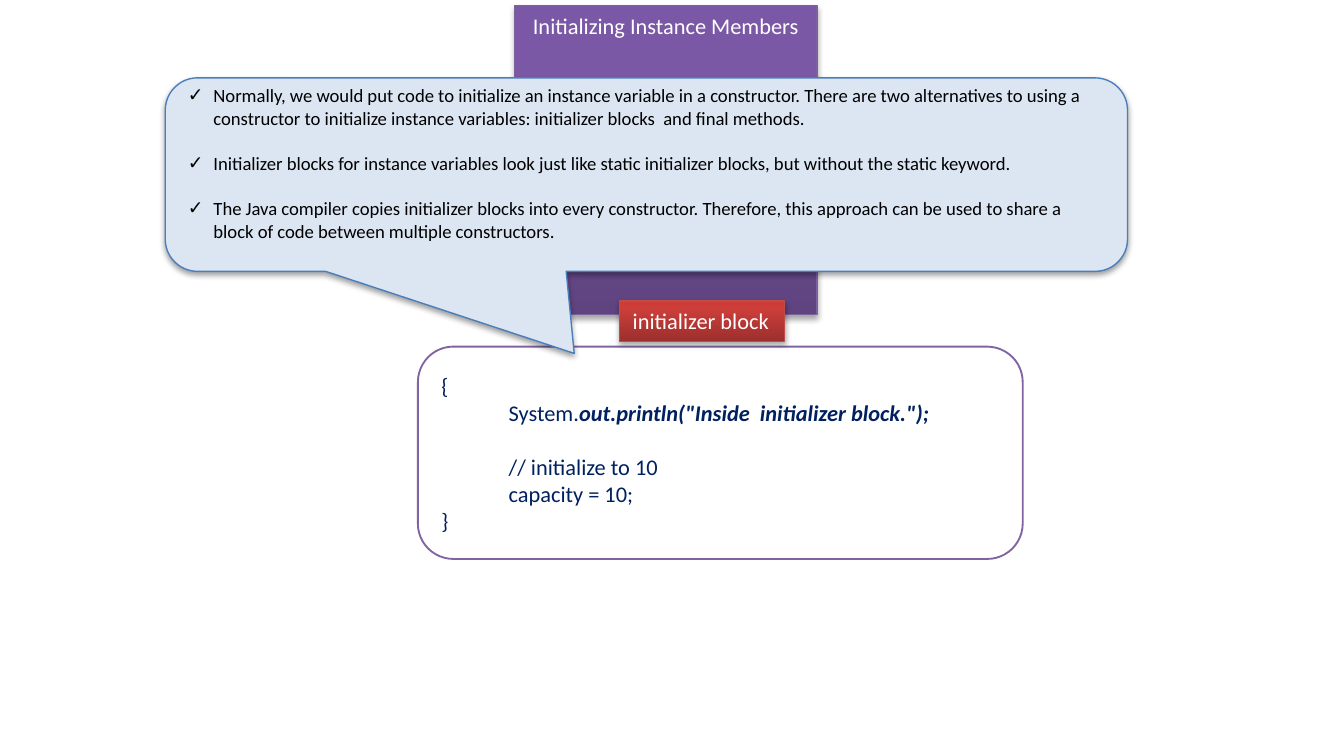
from lxml import etree
from pptx import Presentation
from pptx import util as u
from pptx.dml.color import RGBColor
from pptx.enum import shapes, text
from pptx.oxml.ns import qn

WHITE = RGBColor(0xFF, 0xFF, 0xFF)
BLACK = RGBColor(0, 0, 0)
NAVY = RGBColor(0x00, 0x20, 0x60)
PURPLE = RGBColor(0x80, 0x64, 0xA2)
PURPLE_EDGE = RGBColor(0x7D, 0x60, 0xA0)
PURPLE_STOPS = [(0, RGBColor(0x5F, 0x44, 0x80)), (80, RGBColor(0x7B, 0x58, 0xA6)),
                (100, RGBColor(0x7C, 0x57, 0xA8))]
RED_EDGE = RGBColor(0xBF, 0x4C, 0x48)
RED_STOPS = [(0, RGBColor(0x9C, 0x2F, 0x2D)), (80, RGBColor(0xCB, 0x3E, 0x3A)),
             (100, RGBColor(0xCE, 0x3B, 0x37))]
PALE_BLUE = RGBColor(0xDC, 0xE6, 0xF2)
BLUE = RGBColor(0x4B, 0x7E, 0xBC)

NOTES = [
    "Normally, we would put code to initialize an instance variable in a constructor. "
    "There are two alternatives to using a constructor to initialize instance variables: "
    "initializer blocks  and final methods.",
    "Initializer blocks for instance variables look just like static initializer blocks, "
    "but without the static keyword.",
    "The Java compiler copies initializer blocks into every constructor. Therefore, this "
    "approach can be used to share a block of code between multiple constructors.",
]
# Each line: indent, space before, plain part, emphasised part
CODE = [
    (0, 0, "{", ""),
    (0.5, 0, "System.", 'out.println("Inside  initializer block.");'),
    (0.5, 14.6, "// initialize to 10", ""),
    (0.5, 0, "capacity = 10;", ""),
    (0, 0, "}", ""),
]


class Deck:
    font = "Calibri"

    def __init__(self, width, height):
        self.prs = Presentation()
        self.prs.slide_width, self.prs.slide_height = u.Inches(width), u.Inches(height)
        self.slide = self.prs.slides.add_slide(self.prs.slide_layouts[5])

    def shape(self, kind, box, fill, line, weight):
        sp = self.slide.shapes.add_shape(kind, *map(u.Inches, box))
        sp.fill.solid()
        sp.fill.fore_color.rgb = fill
        self.outline(sp, line, weight)
        sp.text_frame.word_wrap = True
        sp.text_frame.vertical_anchor = text.MSO_ANCHOR.MIDDLE
        return sp

    def outline(self, sp, color, weight):
        sp.line.color.rgb = color
        sp.line.width = u.Pt(weight)
        sp.shadow.inherit = False

    def drop_shadow(self, sp, distance, opacity):
        effects = sp._element.spPr.find(qn("a:effectLst"))
        shadow = etree.SubElement(effects, qn("a:outerShdw"), blurRad=str(u.Pt(3.1)),
                                  dist=str(u.Pt(distance)), dir="5400000", rotWithShape="0")
        color = etree.SubElement(shadow, qn("a:srgbClr"), val=str(BLACK))
        etree.SubElement(color, qn("a:alpha"), val=str(opacity * 1000))

    def gradient(self, sp, stops):
        sp.fill.gradient()
        sp.fill.gradient_angle = 90
        gs_list = sp._element.spPr.find(qn("a:gradFill")).find(qn("a:gsLst"))
        for gs in list(gs_list):
            gs_list.remove(gs)
        for position, color in stops:
            gs = etree.SubElement(gs_list, qn("a:gs"), pos=str(position * 1000))
            etree.SubElement(gs, qn("a:srgbClr"), val=str(color))

    def style(self, p, size, color, align=text.PP_ALIGN.LEFT):
        p.alignment = align
        for r in p.runs:
            r.font.name, r.font.size = self.font, u.Pt(size)
            r.font.color.rgb = color

    def indent(self, p, left, first=0.0):
        pPr = p._p.get_or_add_pPr()
        pPr.set("marL", str(u.Inches(left)))
        pPr.set("indent", str(u.Inches(first)))
        return pPr

    def label(self, sp, words, stops, edge, align, wrap):
        self.gradient(sp, stops)
        self.outline(sp, edge, 0.75)
        self.drop_shadow(sp, 1.8, 35)
        tf = sp.text_frame
        tf.text = words
        tf.word_wrap = wrap
        tf.auto_size = text.MSO_AUTO_SIZE.SHAPE_TO_FIT_TEXT
        tf.vertical_anchor = text.MSO_ANCHOR.TOP
        self.style(tf.paragraphs[0], 12, WHITE, align)

    def title(self, words, box):
        sp = self.slide.shapes.title
        sp.left, sp.top, sp.width, sp.height = map(u.Inches, box)
        self.label(sp, words, PURPLE_STOPS, PURPLE_EDGE, text.PP_ALIGN.CENTER, True)

    def tag(self, words, box):
        sp = self.slide.shapes.add_shape(shapes.MSO_SHAPE.RECTANGLE, *map(u.Inches, box))
        self.label(sp, words, RED_STOPS, RED_EDGE, text.PP_ALIGN.LEFT, False)

    def callout(self, notes, box, adjustments):
        sp = self.shape(shapes.MSO_SHAPE.ROUNDED_RECTANGULAR_CALLOUT, box, PALE_BLUE, BLUE, 0.75)
        for i, value in enumerate(adjustments):
            sp.adjustments[i] = value
        self.drop_shadow(sp, 1.6, 38)
        tf = sp.text_frame
        tf.margin_bottom = u.Inches(0.22)
        for i, note in enumerate(notes):
            p = tf.add_paragraph() if i else tf.paragraphs[0]
            p.text = note
            pPr = self.indent(p, 0.19, -0.19)
            etree.SubElement(pPr, qn("a:buFont"), typeface="Wingdings")
            etree.SubElement(pPr, qn("a:buChar"), char="✓")
            pPr.find(qn("a:buFont")).set("typeface", "Arial")
            p.space_before = u.Pt(12.2 if i else 0)
            self.style(p, 10, BLACK)

    def code(self, lines, box):
        sp = self.shape(shapes.MSO_SHAPE.ROUNDED_RECTANGLE, box, WHITE, PURPLE, 1)
        tf = sp.text_frame
        for i, (left, gap, plain, strong) in enumerate(lines):
            p = tf.add_paragraph() if i else tf.paragraphs[0]
            p.text = plain
            if strong:
                r = p.add_run()
                r.text = strong
                r.font.bold = r.font.italic = True
            self.indent(p, left)
            p.space_before = u.Pt(gap)
            self.style(p, 12, NAVY)


def main():
    deck = Deck(10, 5.5)
    # Heading
    deck.title("Initializing Instance Members", (3.83, 0.04, 2.25, 0.3))
    # Code example, with the callout pointing at it
    deck.code(CODE, (3.11, 2.58, 4.5, 1.58))
    deck.callout(NOTES, (1.23, 0.58, 7.16, 1.44), (-0.075, 0.924, 0.167))
    # Name of the example
    deck.tag("initializer block", (4.61, 2.24, 1.23, 0.3))
    deck.prs.save("out.pptx")


if __name__ == "__main__":
    main()
